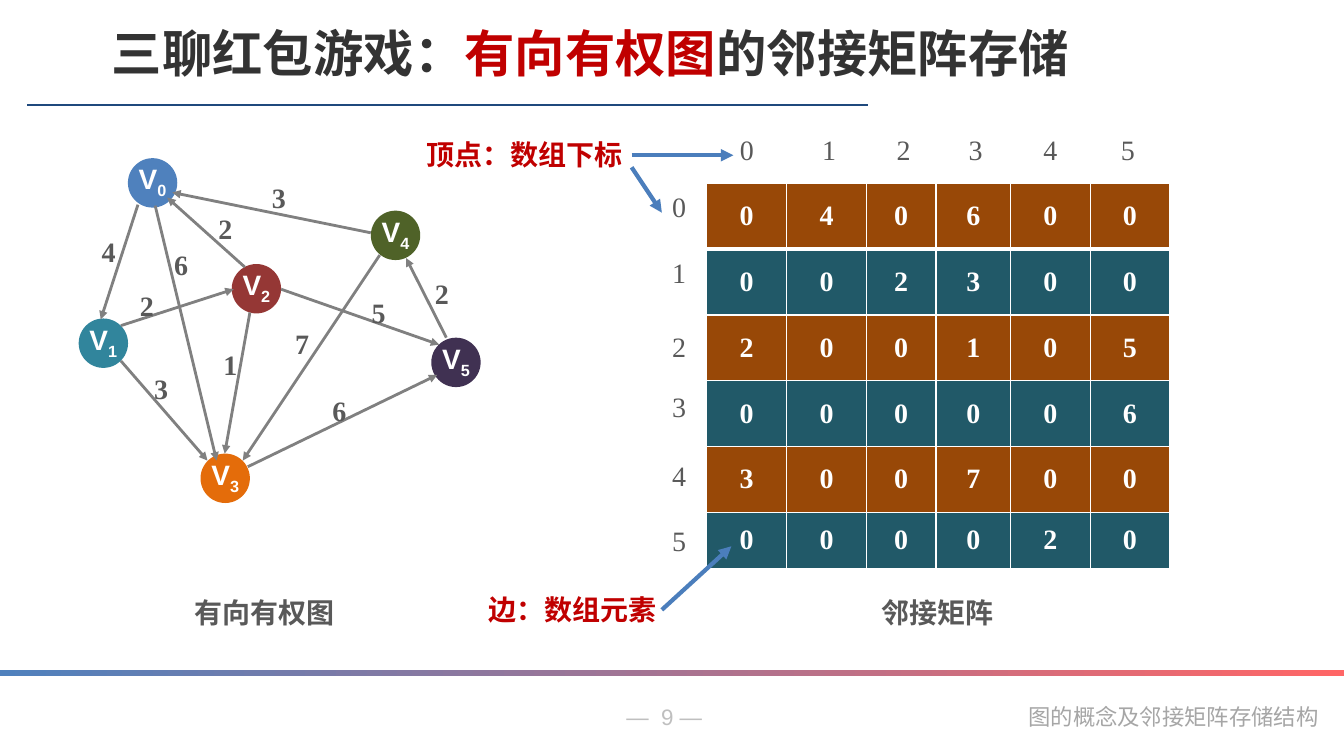
"""Build a slide on storing a directed weighted graph as an adjacency matrix."""
from dataclasses import dataclass

from lxml.etree import SubElement
from pptx import Presentation
from pptx.dml.color import RGBColor
from pptx.enum.shapes import MSO_CONNECTOR as CONN, MSO_SHAPE as SHAPE
from pptx.enum.text import MSO_ANCHOR as ANCHOR, MSO_AUTO_SIZE as AUTO, PP_ALIGN as ALIGN
from pptx.oxml.ns import qn
from pptx.util import Pt


@dataclass(frozen=True)
class Theme:
    """Colours, fonts and sizes of the slide."""
    ink: str = "333333"
    accent: str = "C00000"
    grey: str = "595959"
    edge: str = "808080"
    arrow: str = "4B7EBC"
    rule: str = "1F497D"
    white: str = "FFFFFF"
    page: str = "BFBFBF"
    footer: str = "A6A6A6"
    band: tuple = ("4F81BD", "FF6666")
    rows: tuple = ("984807", "215968")
    sans: str = "Arial"
    serif: str = "Times New Roman"
    mono: str = "Noto Sans Mono"
    cjk: str = "Noto Sans CJK SC"
    title_size: int = 36
    text_size: int = 20
    footer_size: int = 16


T = Theme()
SLIDE_W, SLIDE_H = 960.5, 540
NODE_SIZE = 35.3

TITLE = [("三聊红包游戏：", T.ink), ("有向有权图", T.accent), ("的邻接矩阵存储", T.ink)]
NODES = [
    (91.4, 113, "4F81BD"),
    (56.2, 227.5, "31859C"),
    (165.6, 188.6, "953735"),
    (143.3, 324, "E46C0A"),
    (265, 150.5, "4F6228"),
    (308.2, 241.2, "403152"),
]
# source, target, weight, line start, line end, weight label
EDGES = [
    (0, 1, 4, (98.6, 146.2), (72, 228.2), (65.5, 164.2)),
    (0, 3, 6, (110.9, 146.9), (154.8, 329), (117.4, 173.5)),
    (1, 2, 2, (86.4, 232.6), (167, 206.6), (92.9, 202.3)),
    (1, 3, 3, (86.4, 257.8), (148.3, 329), (103, 262.1)),
    (2, 0, 2, (175, 190.8), (119.5, 141.1), (149, 147.6)),
    (2, 3, 1, (178.6, 223.2), (160.6, 324), (152.6, 244.8)),
    (2, 5, 5, (200.9, 206.6), (313.9, 246.2), (258.5, 207.4)),
    (3, 5, 6, (177.1, 333.4), (312.5, 267.8), (230.4, 277.2)),
    (4, 0, 3, (265, 166.3), (123.1, 137.5), (187.2, 125.3)),
    (4, 3, 7, (271.4, 182.2), (173.5, 329), (203.8, 229.7)),
    (5, 4, 2, (319, 241.2), (290.2, 184.3), (303.8, 193.7)),
]
CAPTIONS = [
    ("有向有权图", 131.8, 422, 122, T.grey),
    ("邻接矩阵", 622.8, 422, 122, T.grey),
    ("顶点：数组下标", 297.4, 95, 176, T.accent),
    ("边：数组元素", 342, 419.8, 176, T.accent),
]
POINTERS = [
    ((473, 435.6), (522.7, 390.2)),
    ((451.4, 110.9), (524.2, 110.9)),
    ((451.4, 119.5), (473, 151.9)),
]
FOOTERS = [
    ("—  9 —", 440.6, 84.2, T.page, T.sans),
    ("图的概念及邻接矩阵存储结构", 727.9, 224.6, T.footer, T.mono),
]
MATRIX_COLS, MATRIX_ROWS = (57.6, 56.9, 49.7, 53.3, 56.9, 56.9), (47, 47, 47, 47, 47, 40)
ROW_INDEX_HEIGHTS = (46.8, 53.3, 42.5, 49.7, 46.1, 76.3)
COL_INDEX_WIDTHS = (64.1, 53.3, 53.3, 49.7, 56.9, 54)


def rgb(color):
    """Turn a hex string into a colour."""
    return RGBColor.from_string(color)


def write(tf, text, size=T.text_size, color=T.grey, font=T.sans, bold=False,
          align=ALIGN.LEFT, base=0):
    """Add one formatted run to the first paragraph."""
    p = tf.paragraphs[0]
    p.alignment = align
    r = p.add_run()
    r.text = text
    f = r.font
    f.size, f.bold, f.name = Pt(size), bold, font
    f.color.rgb = rgb(color)
    props = r._r.get_or_add_rPr()
    SubElement(props, qn("a:ea")).set("typeface", T.cjk)
    if base:
        props.set("baseline", str(base * 1000))


def add_label(s, text, x, y, w, h=31.7, wrap=True, **fmt):
    """Add a text box holding one run."""
    tf = s.shapes.add_textbox(Pt(x), Pt(y), Pt(w), Pt(h)).text_frame
    tf.word_wrap = wrap
    write(tf, text, **fmt)


def add_line(s, start, end, color, width, arrow=True):
    """Add a straight line, with an arrowhead at its end if wanted."""
    c = s.shapes.add_connector(CONN.STRAIGHT, *map(Pt, start + end))
    c.line.color.rgb = rgb(color)
    c.line.width = Pt(width)
    if arrow:
        SubElement(c.line._get_or_add_ln(), qn("a:tailEnd")).set("type", "triangle")
    SubElement(c._element.spPr, qn("a:effectLst"))


def add_node(s, number, x, y, color):
    """Add a graph vertex with its subscripted name."""
    sp = s.shapes.add_shape(SHAPE.OVAL, Pt(x), Pt(y), Pt(NODE_SIZE), Pt(NODE_SIZE))
    sp.shadow.inherit = False
    sp.fill.solid()
    sp.fill.fore_color.rgb = rgb(color)
    sp.line.fill.background()
    tf = sp.text_frame
    tf.word_wrap = False
    tf.vertical_anchor = ANCHOR.MIDDLE
    tf.margin_left = tf.margin_right = tf.margin_top = 0
    tf.margin_bottom = Pt(3)
    for text, base in (("V", 0), (str(number), -25)):
        write(tf, text, color=T.white, bold=True, align=ALIGN.CENTER, base=base)


def add_borders(cell, row):
    """Draw white cell borders, thicker below the first row."""
    props = cell._tc.get_or_add_tcPr()
    for side in "LRTB":
        thick = (row, side) in ((0, "B"), (1, "T"))
        ln = SubElement(props, qn(f"a:ln{side}"), w=str(Pt(3 if thick else 1)))
        SubElement(SubElement(ln, qn("a:solidFill")), qn("a:srgbClr")).set("val", T.white)


def add_grid(s, values, x, y, widths, heights, fills, anchor=ANCHOR.TOP, **fmt):
    """Add a table whose row fills alternate; no fills leaves it clear."""
    frame = s.shapes.add_table(len(heights), len(widths), Pt(x), Pt(y),
                               Pt(sum(widths)), Pt(sum(heights)))
    table = frame.table
    table.first_row = table.horz_banding = False
    for col, width in zip(table.columns, widths):
        col.width = Pt(width)
    for i, height in enumerate(heights):
        table.rows[i].height = Pt(height)
        for j, value in enumerate(values[i]):
            cell = table.cell(i, j)
            add_borders(cell, i)
            if fills:
                cell.fill.solid()
                cell.fill.fore_color.rgb = rgb(fills[i % len(fills)])
            else:
                cell.fill.background()
            cell.vertical_anchor = anchor
            write(cell.text_frame, str(value), font=T.serif, align=ALIGN.CENTER, **fmt)


def add_frame(s):
    """Add the title, rule, colour band and footers."""
    title = s.shapes.title
    title.left, title.top, title.width, title.height = map(Pt, (72.7, 12.2, 760, 51))
    tf = title.text_frame
    tf.auto_size, tf.vertical_anchor = AUTO.NONE, ANCHOR.MIDDLE
    for text, color in TITLE:
        write(tf, text, size=T.title_size, color=color, font=T.cjk, bold=True)
    add_line(s, (19.4, 75), (620.6, 75), T.rule, 1, arrow=False)
    band = s.shapes.add_shape(SHAPE.RECTANGLE, 0, Pt(478.8), Pt(SLIDE_W), Pt(4))
    band.shadow.inherit = False
    band.line.fill.background()
    band.fill.gradient()
    band.fill.gradient_angle = 0
    for stop, color in zip(band.fill.gradient_stops, T.band):
        stop.color.rgb = rgb(color)
    for text, x, w, color, font in FOOTERS:
        add_label(s, text, x, 499, w, 26.6, wrap=False, size=T.footer_size,
                  color=color, font=font)


def main():
    """Build and save the slide."""
    prs = Presentation()
    prs.slide_width, prs.slide_height = Pt(SLIDE_W), Pt(SLIDE_H)
    s = prs.slides.add_slide(prs.slide_layouts[5])
    add_frame(s)
    count = len(NODES)
    matrix = [[0] * count for _ in NODES]
    for number, node in enumerate(NODES):
        add_node(s, number, *node)
    for source, target, weight, start, end, (x, y) in EDGES:
        matrix[source][target] = weight
        add_line(s, start, end, T.edge, 2)
        add_label(s, str(weight), x, y, 28, font=T.serif, bold=True)
    add_grid(s, matrix, 504.7, 131, MATRIX_COLS, MATRIX_ROWS, T.rows,
             anchor=ANCHOR.MIDDLE, color=T.white, bold=True)
    add_grid(s, [[i] for i in range(count)], 465.8, 133.9, (38.9,), ROW_INDEX_HEIGHTS, (T.white,))
    add_grid(s, [range(count)], 501.8, 92.9, COL_INDEX_WIDTHS, (30,), ())
    for text, x, y, w, color in CAPTIONS:
        add_label(s, text, x, y, w, color=color, bold=True)
    for start, end in POINTERS:
        add_line(s, start, end, T.arrow, 3)
    prs.save("out.pptx")


if __name__ == "__main__":
    main()
